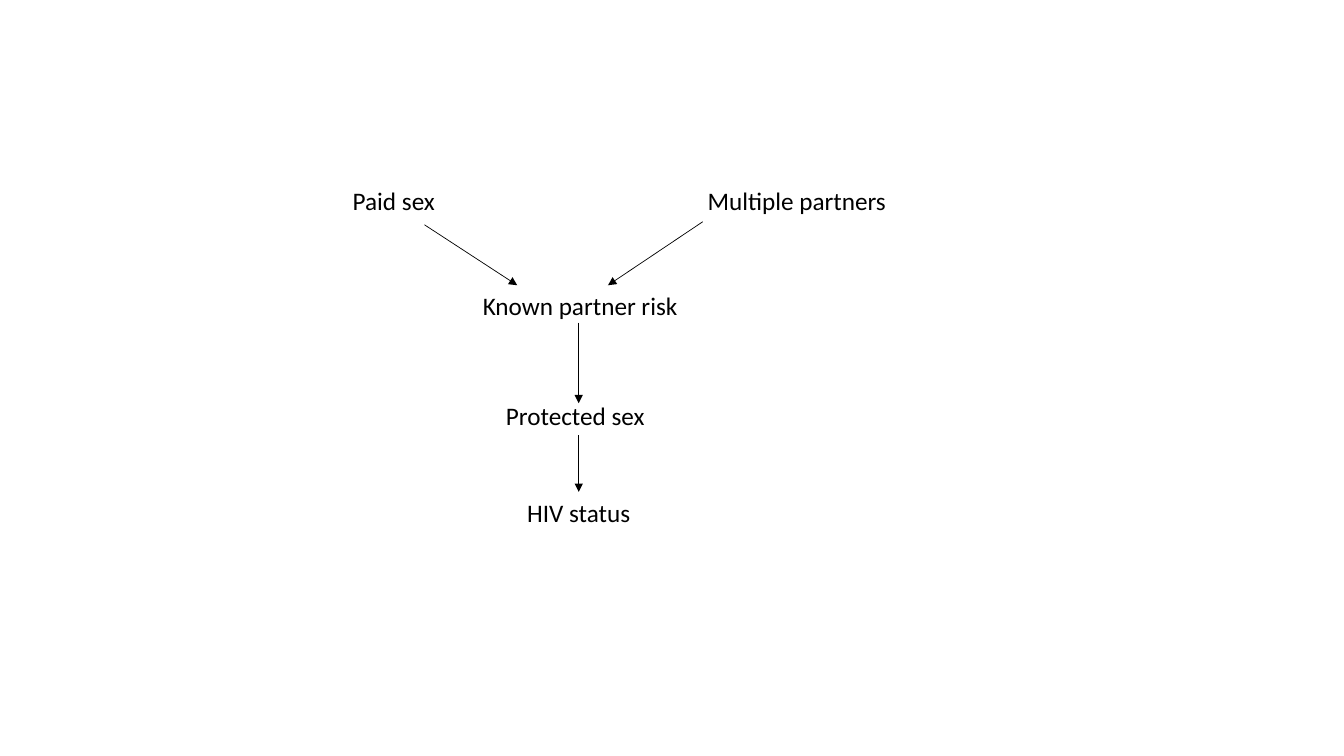
import pptx
import pptx.dml.color
import pptx.enum.shapes
import pptx.enum.text
import pptx.oxml
import pptx.oxml.ns
import pptx.util
from pptx.util import Inches

FONT = "Calibri"
BLACK = "000000"
LABEL_W, LABEL_H = 3.57, 0.4
STEM_X = 5.74

# Factors: text, left, top
FACTORS = [
    ("Known partner risk", 4.69, 2.83),
    ("Multiple partners", 6.92, 1.79),
    ("Protected sex", 4.92, 3.92),
    ("HIV status", 5.13, 4.88),
    ("Paid sex", 3.4, 1.79),
]

# Causal arrows: start, end
ARROWS = [
    ((4.21, 2.23), (5.13, 2.83)),
    ((STEM_X, 3.2), (STEM_X, 4)),
    ((6.97, 2.2), (6.03, 2.83)),
    ((STEM_X, 4.32), (STEM_X, 4.88)),
]


def color(hex_text):
    return pptx.dml.color.RGBColor.from_string(hex_text)


def add_label(s, text, left, top):
    sp = s.shapes.add_textbox(
        Inches(left), Inches(top), Inches(LABEL_W), Inches(LABEL_H))
    tf = sp.text_frame
    tf.word_wrap = True
    tf.auto_size = pptx.enum.text.MSO_AUTO_SIZE.SHAPE_TO_FIT_TEXT
    r = tf.paragraphs[0].add_run()
    r.text = text
    r.font.name = FONT
    r.font.size = pptx.util.Pt(18)
    r.font.color.rgb = color(BLACK)


def add_arrow(s, start, end):
    points = [Inches(v) for v in (*start, *end)]
    sp = s.shapes.add_connector(
        pptx.enum.shapes.MSO_CONNECTOR.STRAIGHT, *points)
    sp.line.color.rgb = color(BLACK)
    sp.line.width = pptx.util.Pt(0.5)
    # Arrowhead at the end, and no shadow
    head = pptx.oxml.parse_xml(
        '<a:tailEnd %s type="triangle"/>' % pptx.oxml.ns.nsdecls("a"))
    sp.line._get_or_add_ln().append(head)
    sp._element.spPr.append(pptx.oxml.parse_xml(
        "<a:effectLst %s/>" % pptx.oxml.ns.nsdecls("a")))


def main():
    prs = pptx.Presentation()
    prs.slide_width = Inches(13.33)
    prs.slide_height = Inches(7.5)
    s = prs.slides.add_slide(prs.slide_layouts[6])
    for text, left, top in FACTORS:
        add_label(s, text, left, top)
    for start, end in ARROWS:
        add_arrow(s, start, end)
    prs.save("out.pptx")


main()
